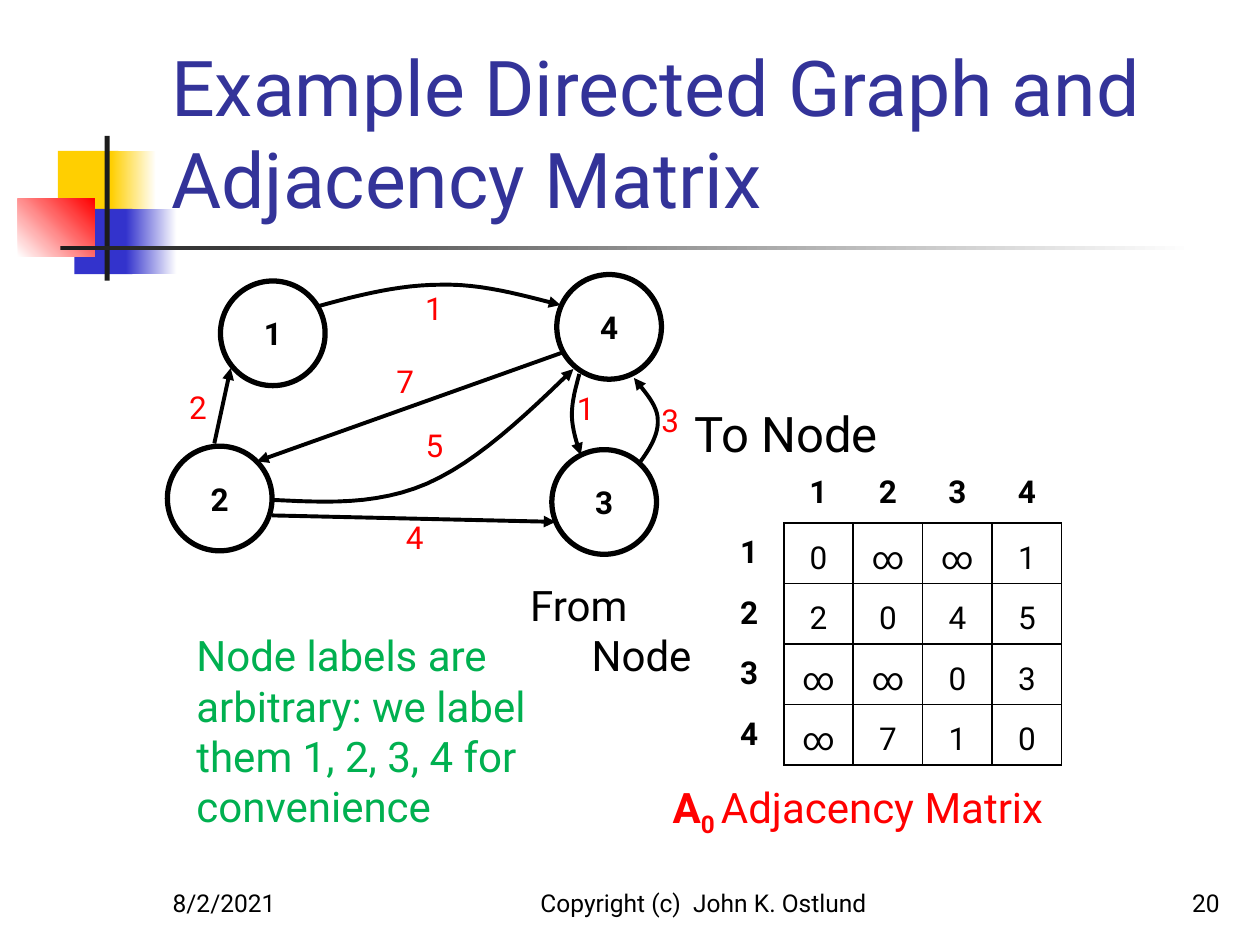
from lxml.etree import SubElement
from pptx import Presentation
from pptx.dml.color import RGBColor
from pptx.enum.shapes import MSO_CONNECTOR as Link, MSO_SHAPE as Shape
from pptx.enum.text import MSO_ANCHOR as Anchor, PP_ALIGN as Align
from pptx.oxml.ns import qn
from pptx.util import Cm, Pt

BLACK = RGBColor(0, 0, 0)
WHITE = RGBColor(255, 255, 255)
INK = RGBColor(0x1C, 0x1C, 0x1C)
NAVY = RGBColor(0x33, 0x33, 0x99)
BLUE = RGBColor(0x33, 0x33, 0xCC)
GOLD = RGBColor(0xFF, 0xCF, 0x01)
RED = RGBColor(255, 0, 0)
GREEN = RGBColor(0, 0xB0, 0x50)
FONT = "Roboto"
SIDES = {"L": "lnL", "R": "lnR", "T": "lnT", "B": "lnB"}

# left, top, width, height, first colour, last colour, angle
BLOCKS = [
    (0.81, 0.3, 1.22, 1.32, GOLD, None, 0),
    (1.88, 0.3, 0.91, 1.32, GOLD, WHITE, 0),
    (1.14, 1.47, 1.17, 1.32, BLUE, None, 0),
    (2.18, 1.47, 1.02, 1.32, BLUE, WHITE, 0),
    (0, 1.27, 1.55, 1.17, WHITE, RED, 45),
    (1.75, 0, 0.1, 2.92, INK, None, 0),
    (0.86, 2.21, 22.86, 0.1, INK, WHITE, 0),
]

# centre of each node
NODES = {"1": (2.2, 1.22), "3": (8.88, 4.62), "2": (1.13, 4.55), "4": (8.98, 1.09)}

# start, then the three Bezier points of each piece
CURVES = [
    [(3.13, 0.67), (3.96, 0.44), (4.78, 0.24), (5.59, 0.24),
     (6.4, 0.22), (7.19, 0.44), (8, 0.65)],
    [(2.21, 4.58), (3.25, 4.63), (4.29, 4.69), (5.31, 4.25),
     (6.33, 3.8), (7.29, 2.88), (8.26, 1.94)],
    [(9.6, 3.82), (9.81, 3.54), (9.98, 3.24), (9.96, 2.96),
     (9.96, 2.68), (9.7, 2.4), (9.48, 2.12)],
    [(8.38, 2.04), (8.31, 2.3), (8.23, 2.58), (8.23, 2.86),
     (8.23, 3.11), (8.31, 3.39), (8.41, 3.67)],
]
LINES = [
    ((1.02, 3.44), (1.35, 1.92)),
    ((8.03, 1.61), (1.88, 3.8)),
    ((2.18, 4.89), (7.9, 5.02)),
]
WEIGHTS = [
    ("1", 5.45, 0.7), ("7", 4.87, 2.17), ("2", 0.69, 2.7), ("5", 5.46, 3.47),
    ("4", 5.06, 5.32), ("1", 8.51, 2.73), ("3", 10.21, 2.96),
]
MATRIX = [
    ["", "1", "2", "3", "4"],
    ["1", "0", "∞", "∞", "1"],
    ["2", "2", "0", "4", "5"],
    ["3", "∞", "∞", "0", "3"],
    ["4", "∞", "7", "1", "0"],
]


def style(par, size, color, bold=False, align=Align.LEFT):
    par.alignment = align
    for run in par.runs:
        font = run.font
        font.name, font.size, font.bold = FONT, Pt(size), bold
        font.color.rgb = color


def add_text(slide, box, text, size, color, align=Align.LEFT, anchor=Anchor.TOP):
    frame = slide.shapes.add_textbox(*map(Cm, box)).text_frame
    frame.word_wrap = True
    frame.vertical_anchor = anchor
    frame.text = text
    for par in frame.paragraphs:
        style(par, size, color, align=align)
    return frame


def trim(frame):
    """Centre the text in its box, without margins."""
    frame.margin_left = frame.margin_right = 0
    frame.margin_top = frame.margin_bottom = 0
    frame.vertical_anchor = Anchor.MIDDLE
    frame.word_wrap = False


def add_motif(slide, left, top):
    for x, y, wide, high, first, last, angle in BLOCKS:
        block = slide.shapes.add_shape(
            Shape.RECTANGLE, Cm(left + x), Cm(top + y), Cm(wide), Cm(high))
        block.shadow.inherit = False
        block.line.fill.background()
        if last is None:
            block.fill.solid()
            block.fill.fore_color.rgb = first
        else:
            block.fill.gradient()
            block.fill.gradient_angle = angle
            for stop, color in zip(block.fill.gradient_stops, (first, last)):
                stop.color.rgb = color


def trace(points, steps=12):
    """Return points along a chain of cubic Bezier pieces."""
    path = [points[0]]
    for i in range(0, len(points) - 1, 3):
        piece = points[i:i + 4]
        for n in range(1, steps + 1):
            t = n / steps
            u = 1 - t
            parts = (u ** 3, 3 * u * u * t, 3 * u * t * t, t ** 3)
            path.append(tuple(sum(k * p[axis] for k, p in zip(parts, piece))
                              for axis in (0, 1)))
    return path


def add_arrow(edge):
    edge.line.color.rgb = BLACK
    edge.line.width = Pt(2.25)
    SubElement(edge.line._get_or_add_ln(), qn("a:tailEnd"),
               type="triangle", w="med", len="med")


def add_graph(slide, left, top):
    shapes = slide.shapes

    def place(point):
        return Cm(left + point[0]), Cm(top + point[1])

    size = 2.11
    for name, (x, y) in NODES.items():
        node = shapes.add_shape(Shape.OVAL, *place((x - size / 2, y - size / 2)),
                                Cm(size), Cm(size))
        node.shadow.inherit = False
        node.fill.background()
        node.line.color.rgb = BLACK
        node.line.width = Pt(3)
        node.text_frame.text = name
        trim(node.text_frame)
        style(node.text_frame.paragraphs[0], 18, BLACK, True, Align.CENTER)
    for points in CURVES:
        path = [place(p) for p in trace(points)]
        pen = shapes.build_freeform(*path[0])
        pen.add_line_segments(path[1:], close=False)
        curve = pen.convert_to_shape()
        curve.shadow.inherit = False
        curve.fill.background()
        add_arrow(curve)
    for start, end in LINES:
        line = shapes.add_connector(Link.STRAIGHT, *place(start), *place(end))
        add_arrow(line)
        SubElement(line._element.spPr, qn("a:effectLst"))
    for text, x, y in WEIGHTS:
        box = (left + x - 0.2, top + y - 0.5, 0.4, 1)
        trim(add_text(slide, box, text, 18, RED, Align.CENTER))


def set_edges(cell, dark):
    """Draw the sides named in dark, and hide the others."""
    props = cell._tc.get_or_add_tcPr()
    for side, tag in SIDES.items():
        line = SubElement(props, qn("a:" + tag), w=str(Pt(1)))
        if side in dark:
            fill = SubElement(line, qn("a:solidFill"))
            SubElement(fill, qn("a:srgbClr"), val=str(BLACK))
        else:
            SubElement(line, qn("a:noFill"))


def add_matrix(slide, left, top, wide, high):
    count = len(MATRIX)
    table = slide.shapes.add_table(
        count, count, Cm(left), Cm(top), Cm(wide), Cm(high)).table
    table.first_row = table.horz_banding = False
    for r, row in enumerate(MATRIX):
        for c, text in enumerate(row):
            cell = table.cell(r, c)
            head = r == 0 or c == 0
            dark = "LRTB" if not head else "B" if c else "R" if r else ""
            set_edges(cell, dark)
            cell.fill.background()
            cell.vertical_anchor = Anchor.MIDDLE if head else Anchor.BOTTOM
            if not head:
                cell.margin_left = cell.margin_right = Cm(0.13)
                cell.margin_top = cell.margin_bottom = Cm(0.13)
            cell.text = text
            style(cell.text_frame.paragraphs[0], 18, BLACK, head, Align.CENTER)


def add_notes(slide, left, top):
    """Place the words around the graph and the matrix."""
    add_text(slide, (left + 10.04, top, 5.5, 1.4), "To Node", 28, BLACK)
    from_box = (left + 6.73, top + 3.55, 3.75, 2.2)
    frame = add_text(slide, from_box, "From\nNode", 24, BLACK)
    frame.paragraphs[1].alignment = Align.RIGHT
    add_text(slide, (left, top + 4.57, 7.4, 4.3),
             "Node labels are\narbitrary: we label\nthem 1, 2, 3, 4 for\nconvenience", 24, GREEN)
    par = add_text(slide, (left + 9.6, top + 7.62, 8.6, 1.25), "A", 24, RED).paragraphs[0]
    for text in ("0 ", "Adjacency Matrix"):
        par.add_run().text = text
    style(par, 24, RED)
    name, sub, _ = par.runs
    name.font.bold = sub.font.bold = True
    sub.font._element.set("baseline", "-25000")


def add_footer(slide, top):
    for left, wide, text, align in (
            (3.23, 5.28, "8/2/2021", Align.LEFT),
            (10.16, 8.05, "Copyright (c)  John K. Ostlund", Align.CENTER),
            (19.56, 5.28, "20", Align.RIGHT)):
        add_text(slide, (left, top, wide, 1.27), text, 14, BLACK, align, Anchor.BOTTOM)


def main():
    deck = Presentation()
    deck.slide_width, deck.slide_height = Cm(25.4), Cm(19.05)
    slide = deck.slides.add_slide(deck.slide_layouts[6])
    add_motif(slide, 0.36, 2.74)
    add_text(slide, (3.2, 0.58, 21.64, 4.06), "Example Directed Graph and Adjacency Matrix",
             44, NAVY, anchor=Anchor.BOTTOM)
    add_notes(slide, 3.71, 8)
    add_graph(slide, 3.3, 5.5)
    add_matrix(slide, 14.4, 9.32, 7, 6.1)
    add_footer(slide, 17.35)
    deck.save("out.pptx")


if __name__ == "__main__":
    main()
